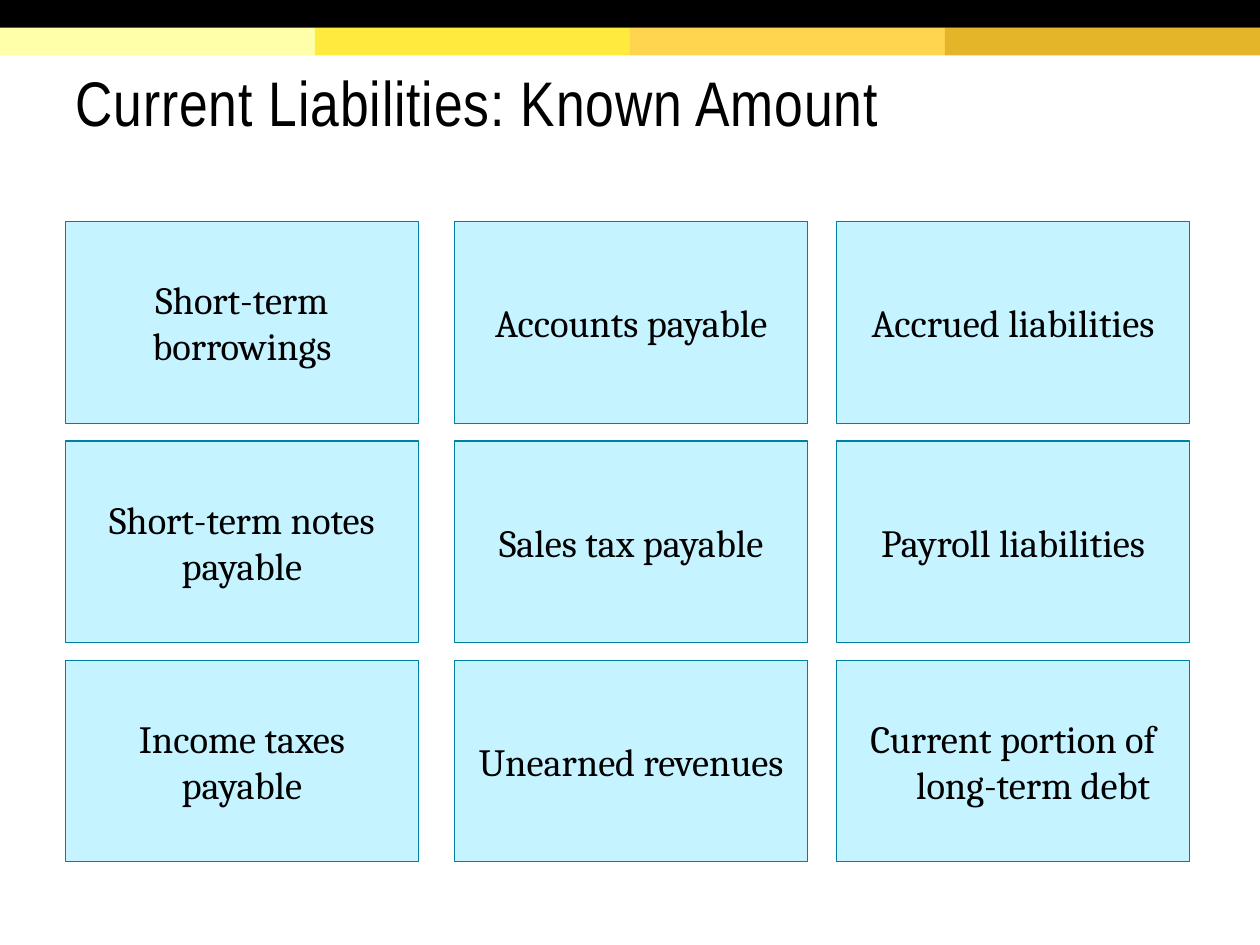
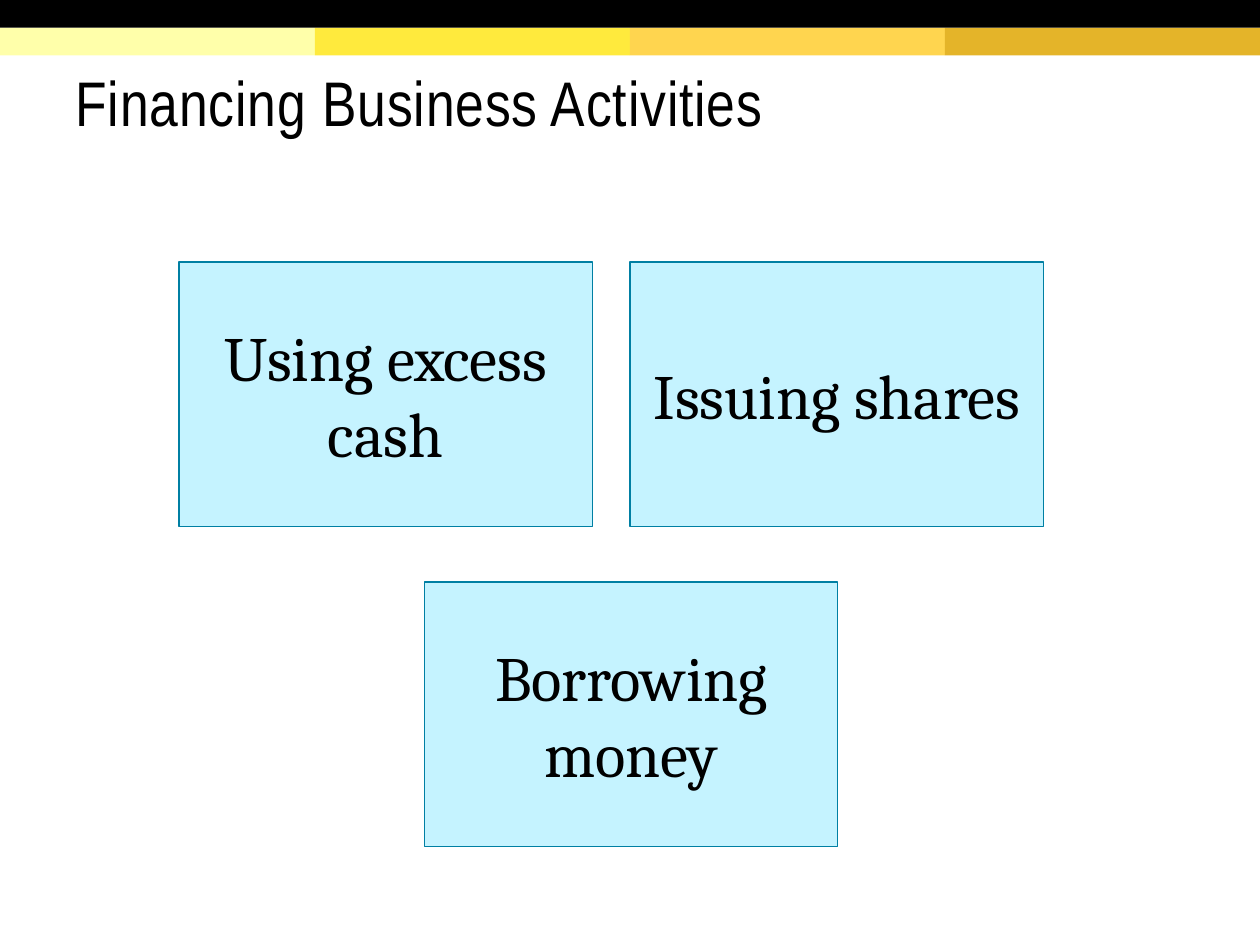
from itertools import product

from pptx import Presentation
from pptx.dml.color import RGBColor as Rgb
from pptx.enum.shapes import MSO_SHAPE as Kind
from pptx.enum.text import MSO_ANCHOR as Anchor, MSO_AUTO_SIZE as Fit, PP_ALIGN as Align
from pptx.util import Inches, Pt

HUES = {
    "ink": "000000", "card": "C5F3FF", "edge": "007FA3",
    "pale": "FFFFAA", "lemon": "FFEA3D", "amber": "FFD54F", "gold": "E4B429",
}
WIDE, HIGH = 100, 75
UNIT = Inches(10) // WIDE
PAD = Inches(0.1)
FRAME = dict(word_wrap=True, auto_size=Fit.NONE, vertical_anchor=Anchor.MIDDLE,
             margin_left=PAD, margin_top=PAD, margin_right=PAD, margin_bottom=PAD)
HEAD = dict(alignment=Align.LEFT, line_spacing=0.85)
BODY = dict(alignment=Align.CENTER, space_before=Pt(8), space_after=Pt(8))
NAMES = (
    ("Short-term borrowings", "Accounts payable", "Accrued liabilities"),
    ("Short-term notes payable", "Sales tax payable", "Payroll liabilities"),
    ("Income taxes payable", "Unearned revenues", "Current portion of long-term debt"),
)
WAYS = ("Using excess cash", "Issuing shares", "Borrowing money")


def hue(name):
    """Return the named colour."""
    return Rgb.from_string(HUES[name])


def style(item, looks):
    """Set each attribute of an item from a dict."""
    for key, value in looks.items():
        setattr(item, key, value)


def scale(*cells):
    """Turn grid cells into lengths."""
    return [round(cell * UNIT) for cell in cells]


def write(shape, text, face, size, para, **frame):
    """Fill a shape with one formatted paragraph and return it."""
    style(shape.text_frame, FRAME | frame)
    line = shape.text_frame.paragraphs[0]
    style(line, para)
    run = line.add_run()
    run.text = text
    style(run.font, dict(name=face, size=Pt(size)))
    run.font.color.rgb = hue("ink")
    return line


def block(slide, box, fill, edge=None):
    """Draw a flat rectangle in a grid box."""
    shape = slide.shapes.add_shape(Kind.RECTANGLE, *scale(*box))
    shape.shadow.inherit = False
    shape.fill.solid()
    shape.fill.fore_color.rgb = hue(fill)
    if edge:
        shape.line.color.rgb = hue(edge)
        shape.line.width = Pt(0.75)
    else:
        shape.line.fill.background()
    return shape


def bands(slide, box):
    """Draw the black bar over four yellow strips."""
    left, top, wide, high = box
    strips = ("pale", "lemon", "amber", "gold")
    step, row = wide / len(strips), high / 2
    for col, name in enumerate(strips):
        block(slide, (left + col * step, top + row, step, row), name)
    block(slide, (left, top, wide, row), "ink")


def title(slide, box, text):
    """Place and format the title."""
    shape = slide.shapes.title
    style(shape, dict(zip(("left", "top", "width", "height"), scale(*box))))
    line = write(shape, text, "Arial Narrow", 36, HEAD, margin_bottom=PAD // 2)
    line.runs[0].font._element.set("spc", "50")


def card(slide, box, text, size):
    """Draw one outlined card with centred text."""
    return write(block(slide, box, "card", "edge"), text, "Cambria", size, BODY)


def grid(slide, box):
    """Lay out the nine liabilities in three columns and rows."""
    left, top, wide, high = box
    cols, rows = (0, 30.9, 61.2), (0, 17.4, 34.8)
    for row, col in product(range(3), repeat=2):
        spot = (left + cols[col], top + rows[row], wide - cols[-1], high - rows[-1])
        line = card(slide, spot, NAMES[row][col], 22)
    hang = round(3.2 * UNIT)
    props = line._p.get_or_add_pPr()
    props.set("marL", str(hang))
    props.set("indent", str(-hang))


def trio(slide, box):
    """Lay out two cards above a third."""
    left, top, wide, high = box
    spots = ((0, 0), (35.8, 0), (19.5, 25.4))
    for text, (col, row) in zip(WAYS, spots):
        card(slide, (left + col, top + row, wide - 35.8, high - 25.4), text, 36)


def page(deck, text, fill, box):
    """Add a slide with bands, a title and its cards."""
    slide = deck.slides.add_slide(deck.slide_layouts[5])
    bands(slide, (0, 0, WIDE, 4.4))
    title(slide, (5, 2.3, 90, 12), text)
    fill(slide, box)


def main():
    """Build and save the slides."""
    deck = Presentation()
    style(deck, dict(slide_width=WIDE * UNIT, slide_height=HIGH * UNIT))
    page(deck, "Current Liabilities: Known Amount", grid, (5.2, 17.6, 89.2, 50.8))
    page(deck, "Financing Business Activities", trio, (14.2, 20.8, 68.6, 46.4))
    deck.save("out.pptx")


if __name__ == "__main__":
    main()
